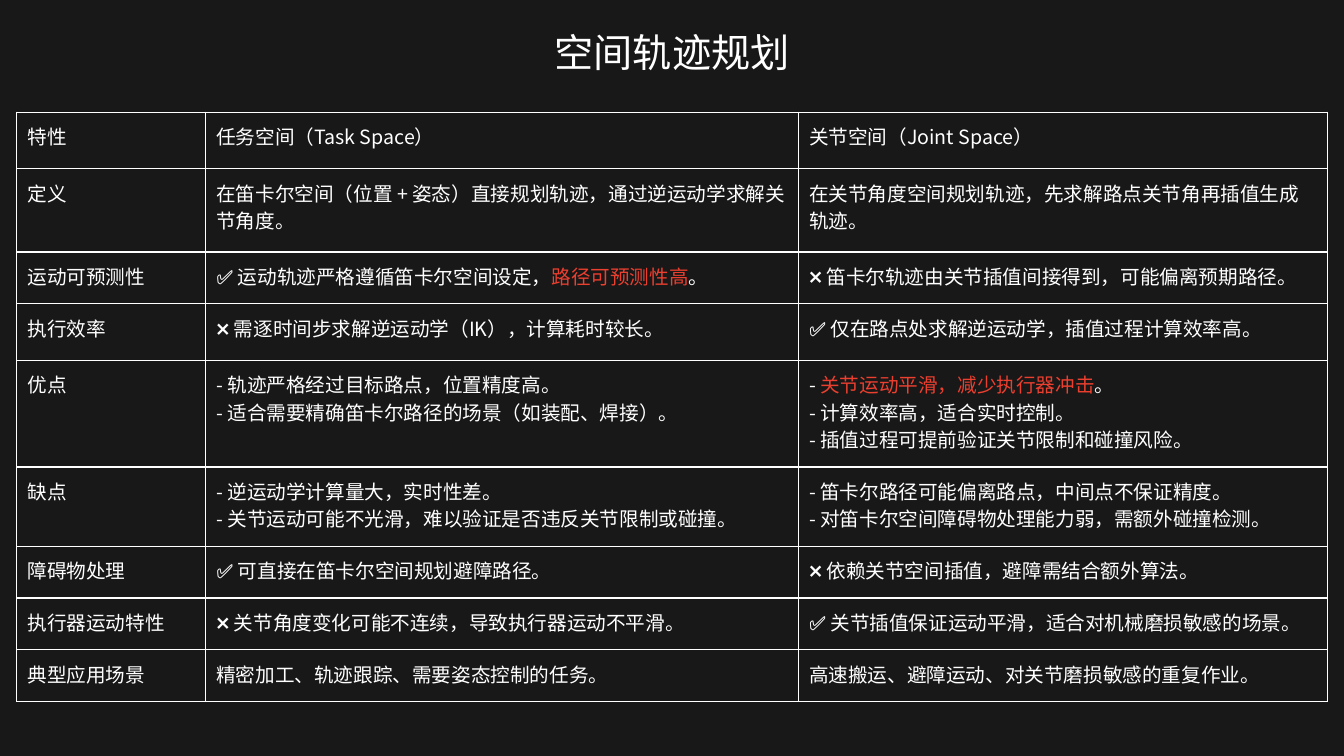
from lxml import etree
from pptx import Presentation
from pptx import util as u
from pptx.dml.color import RGBColor
from pptx.enum import text
from pptx.oxml.ns import qn

# Content: one tuple per row, one line per paragraph, |accented words| in bars
TITLE = "空间轨迹规划"
ROWS = [
    ("特性", "任务空间（Task Space）", "关节空间（Joint Space）"),
    ("定义",
     "在笛卡尔空间（位置 + 姿态）直接规划轨迹，通过逆运动学求解关节角度。",
     "在关节角度空间规划轨迹，先求解路点关节角再插值生成轨迹。"),
    ("运动可预测性",
     "✅ 运动轨迹严格遵循笛卡尔空间设定，|路径可预测性高|。",
     "❌ 笛卡尔轨迹由关节插值间接得到，可能偏离预期路径。"),
    ("执行效率",
     "❌ 需逐时间步求解逆运动学（IK），计算耗时较长。",
     "✅ 仅在路点处求解逆运动学，插值过程计算效率高。"),
    ("优点",
     "- 轨迹严格经过目标路点，位置精度高。\n"
     "- 适合需要精确笛卡尔路径的场景（如装配、焊接）。",
     "- |关节运动平滑，减少执行器冲击|。\n"
     "- 计算效率高，适合实时控制。\n"
     "- 插值过程可提前验证关节限制和碰撞风险。"),
    ("缺点",
     "- 逆运动学计算量大，实时性差。\n"
     "- 关节运动可能不光滑，难以验证是否违反关节限制或碰撞。",
     "- 笛卡尔路径可能偏离路点，中间点不保证精度。\n"
     "- 对笛卡尔空间障碍物处理能力弱，需额外碰撞检测。"),
    ("障碍物处理",
     "✅ 可直接在笛卡尔空间规划避障路径。",
     "❌ 依赖关节空间插值，避障需结合额外算法。"),
    ("执行器运动特性",
     "❌ 关节角度变化可能不连续，导致执行器运动不平滑。",
     "✅ 关节插值保证运动平滑，适合对机械磨损敏感的场景。"),
    ("典型应用场景",
     "精密加工、轨迹跟踪、需要姿态控制的任务。",
     "高速搬运、避障运动、对关节磨损敏感的重复作业。"),
]

# Look and grid
FONT = "Noto Sans CJK SC"
DARK = RGBColor(0x18, 0x18, 0x18)
WHITE = RGBColor(0xFF, 0xFF, 0xFF)
RED = RGBColor(0xEB, 0x3F, 0x2F)
WIDTH, HEIGHT = u.Inches(20), u.Inches(11.25)
COLUMNS = [2.81, 8.82, 7.87]
HEIGHTS = [0.84, 1.24, 0.77, 0.84, 1.59, 1.18, 0.77, 0.77, 0.77]
TABLE_LEFT, TABLE_TOP = 0.25, 1.67
PADDING = u.Inches(0.16)
TITLE_SIZE, CELL_SIZE = 42, 21


def style_span(span, size, color):
    span.font.size = u.Pt(size)
    span.font.name = FONT
    span.font.color.rgb = color
    etree.SubElement(span.font._element, qn("a:ea"), typeface=FONT)


def fill_cell(cell, content):
    cell.margin_left = cell.margin_right = PADDING
    cell.margin_top = cell.margin_bottom = PADDING
    cell.vertical_anchor = text.MSO_ANCHOR.TOP
    cell.text_frame.text = content.replace("|", "")
    for para, line in zip(cell.text_frame.paragraphs, content.split("\n")):
        para.line_spacing = u.Pt(CELL_SIZE * 1.4)
        para.text = ""
        for number, piece in enumerate(line.split("|")):
            span = para.add_run()
            span.text = piece
            style_span(span, CELL_SIZE, RED if number % 2 else WHITE)


def draw_borders(cell):
    properties = cell._tc.get_or_add_tcPr()
    for side in ("lnL", "lnR", "lnT", "lnB"):
        line = etree.SubElement(properties, qn(f"a:{side}"), w=str(u.Pt(1.5)))
        solid = etree.SubElement(line, qn("a:solidFill"))
        etree.SubElement(solid, qn("a:srgbClr"), val=str(WHITE))


def main():
    deck = Presentation()
    deck.slide_width, deck.slide_height = WIDTH, HEIGHT
    page = deck.slides.add_slide(deck.slide_layouts[5])
    page.background.fill.solid()
    page.background.fill.fore_color.rgb = DARK

    # Comparison table
    table = page.shapes.add_table(
        len(ROWS), len(COLUMNS), u.Inches(TABLE_LEFT), u.Inches(TABLE_TOP),
        u.Inches(sum(COLUMNS)), u.Inches(sum(HEIGHTS))).table
    table.first_row = table.horz_banding = False
    for column, width in zip(table.columns, COLUMNS):
        column.width = u.Inches(width)
    for row, height, contents in zip(table.rows, HEIGHTS, ROWS):
        row.height = u.Inches(height)
        for cell, content in zip(row.cells, contents):
            fill_cell(cell, content)
            draw_borders(cell)
            cell.fill.background()

    # Title, centred on the slide
    title = page.shapes.title
    title.width, title.height = int(WIDTH * 0.42), u.Inches(0.71)
    title.left, title.top = (WIDTH - title.width) // 2, u.Inches(0.42)
    frame = title.text_frame
    frame.margin_left = frame.margin_right = 0
    frame.margin_top = frame.margin_bottom = 0
    frame.vertical_anchor = text.MSO_ANCHOR.TOP
    frame.auto_size = text.MSO_AUTO_SIZE.NONE
    frame.text = TITLE
    para = frame.paragraphs[0]
    para.alignment = text.PP_ALIGN.CENTER
    para.line_spacing = u.Pt(TITLE_SIZE * 1.2)
    style_span(para.runs[0], TITLE_SIZE, WHITE)

    deck.save("out.pptx")


if __name__ == "__main__":
    main()
